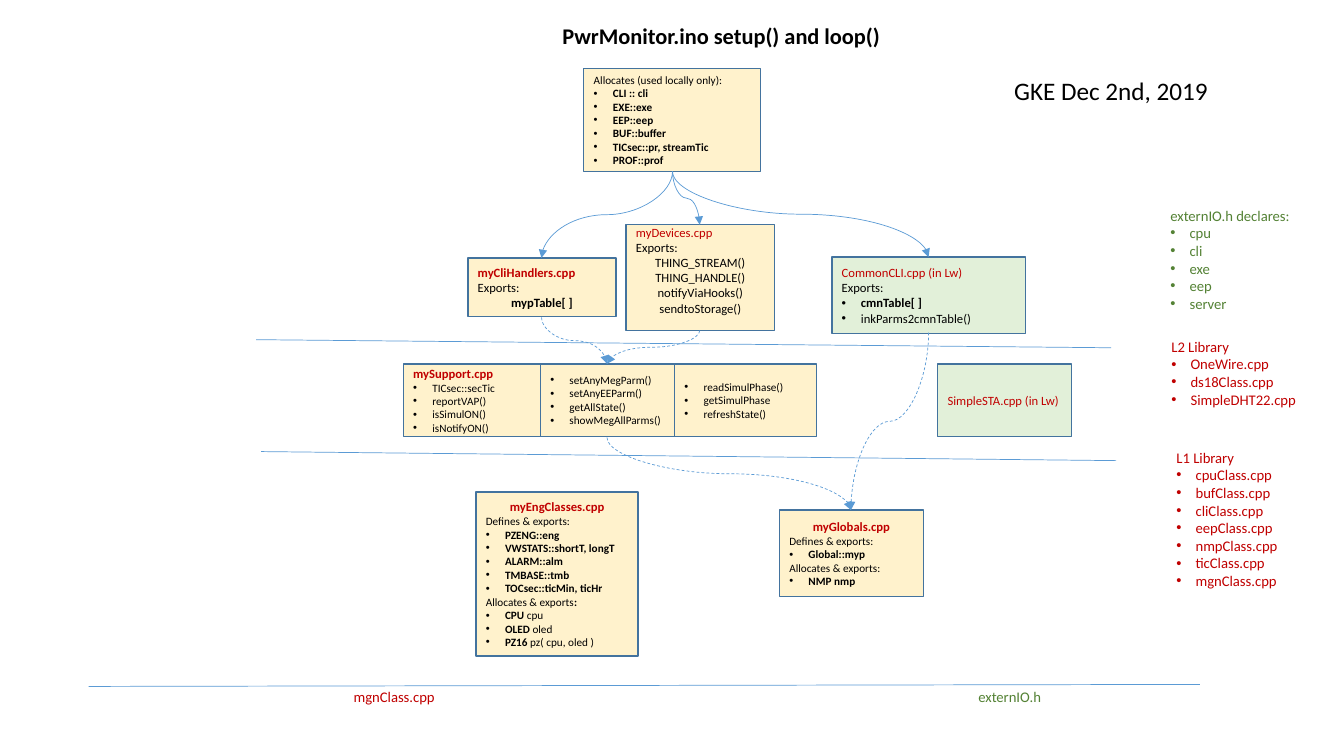
"""Build the PwrMonitor.ino module diagram slide."""
from dataclasses import dataclass

from lxml.etree import SubElement
from pptx import Presentation
from pptx.dml.color import RGBColor
from pptx.enum.dml import MSO_LINE
from pptx.enum.shapes import MSO_CONNECTOR, MSO_SHAPE
from pptx.enum.text import MSO_ANCHOR, PP_ALIGN
from pptx.oxml.ns import qn
from pptx.util import Inches, Pt

BLACK = RGBColor(0x00, 0x00, 0x00)
RED = RGBColor(0xC0, 0x00, 0x00)
GREEN = RGBColor(0x54, 0x82, 0x35)
CREAM = RGBColor(0xFF, 0xF2, 0xCC)
MINT = RGBColor(0xE2, 0xF0, 0xD9)
BORDER = RGBColor(0x43, 0x73, 0x9E)
BLUE = RGBColor(0x5B, 0x9B, 0xD5)
FONT = "Calibri"


@dataclass
class Para:
    """One paragraph, with an optional tail of the opposite weight."""
    text: str
    size: float = 8
    color: RGBColor = BLACK
    bold: bool = False
    bullet: bool = False
    center: bool = False
    tail: str = ""


def head(text, bold=True, center=False):
    """Return a red box heading."""
    return Para(text, 9, RED, bold, center=center)


def items(*texts, size=8, color=BLACK, bold=False):
    """Return one bulleted paragraph per text."""
    return [Para(t, size, color, bold, bullet=True) for t in texts]


def add_bullet(p):
    """Give a paragraph a round bullet and a hanging indent."""
    pPr = p._p.get_or_add_pPr()
    pPr.set("marL", str(Inches(0.19)))
    pPr.set("indent", str(-Inches(0.19)))
    bullet_font = pPr.makeelement(qn("a:buFont"), {"typeface": "Arial"})
    bullet = pPr.makeelement(qn("a:buChar"), {"char": "•"})
    pPr.insert(0, bullet_font)
    pPr.insert(1, bullet)


def fill_text(tf, paras):
    """Write paragraphs into a text frame."""
    for i, para in enumerate(paras):
        p = tf.paragraphs[0] if i == 0 else tf.add_paragraph()
        p.alignment = PP_ALIGN.CENTER if para.center else PP_ALIGN.LEFT
        p.font.name = FONT
        p.font.size = Pt(para.size)
        p.font.color.rgb = para.color
        if para.bullet:
            add_bullet(p)
        r = p.add_run()
        r.text = para.text
        if para.tail:
            r.font.bold = para.bold
            r = p.add_run()
            r.text = para.tail
            r.font.bold = not para.bold
        else:
            p.font.bold = para.bold


def add_box(shapes, x, y, w, h, paras, fill=CREAM):
    """Add a bordered module box."""
    sp = shapes.add_shape(MSO_SHAPE.RECTANGLE, Inches(x), Inches(y), Inches(w), Inches(h))
    sp.shadow.inherit = False
    sp.fill.solid()
    sp.fill.fore_color.rgb = fill
    sp.line.color.rgb = BORDER
    sp.line.width = Pt(1)
    tf = sp.text_frame
    tf.word_wrap = True
    tf.vertical_anchor = MSO_ANCHOR.MIDDLE
    fill_text(tf, paras)
    return sp


def add_label(shapes, x, y, w, h, paras, wrap=True):
    """Add unframed text."""
    tf = shapes.add_textbox(Inches(x), Inches(y), Inches(w), Inches(h)).text_frame
    tf.word_wrap = wrap
    fill_text(tf, paras)


def add_list(shapes, x, y, w, h, title, names, color):
    """Add a titled list of library files or objects."""
    paras = [Para(title, 10.5, color), *items(*names, size=10.5, color=color)]
    add_label(shapes, x, y, w, h, paras)


def add_line(shapes, x1, y1, x2, y2, kind=MSO_CONNECTOR.STRAIGHT):
    """Add a thin blue connector without shadow."""
    cxn = shapes.add_connector(kind, Inches(x1), Inches(y1), Inches(x2), Inches(y2))
    cxn.line.color.rgb = BLUE
    cxn.line.width = Pt(0.5)
    SubElement(cxn._element.spPr, qn("a:effectLst"))
    return cxn


def add_arrow(shapes, x1, y1, x2, y2, dashed=False):
    """Add a curved arrow that leaves and arrives vertically."""
    cx, cy = (x1 + x2) / 2, (y1 + y2) / 2
    rightward = x2 > x1
    dx = (y2 - y1) / 2 * (-1 if rightward else 1)
    dy = abs(x2 - x1) / 2
    cxn = add_line(shapes, cx - dx, cy - dy, cx + dx, cy + dy, MSO_CONNECTOR.CURVE)
    degrees = 270 if rightward else 90
    cxn._element.spPr.find(qn("a:xfrm")).set("rot", str(degrees * 60000))
    if dashed:
        cxn.line.dash_style = MSO_LINE.DASH
    SubElement(cxn.line._get_or_add_ln(), qn("a:tailEnd"), type="triangle")


def add_modules(shapes):
    """Add the module boxes."""
    add_box(shapes, 5.79, 0.68, 1.75, 1.02, [
        Para("Allocates (used locally only):"),
        *items("CLI :: cli", "EXE::exe", "EEP::eep", "BUF::buffer",
               "TICsec::pr, streamTic", "PROF::prof", bold=True)])
    add_box(shapes, 4.64, 2.56, 1.47, 0.58, [
        head("myCliHandlers.cpp"), Para("Exports:", 9),
        Para("mypTable[ ]", 9, bold=True, center=True)])
    calls = ("THING_STREAM()", "THING_HANDLE()", "notifyViaHooks()", "sendtoStorage()")
    device = add_box(shapes, 6.21, 2.23, 1.47, 1.05, [
        head("myDevices.cpp", bold=False), Para("Exports:", 9),
        *[Para(c, 9, center=True) for c in calls]])
    device.text_frame.margin_bottom = Inches(0.2)
    add_box(shapes, 8.25, 2.55, 1.92, 0.76, [
        head("CommonCLI.cpp (in Lw)", bold=False), Para("Exports:", 9),
        *items("cmnTable[ ]", size=9, bold=True),
        *items("inkParms2cmnTable()", size=9)], MINT)
    add_box(shapes, 9.3, 3.61, 1.33, 0.72,
            [head("SimpleSTA.cpp (in Lw)", bold=False)], MINT)
    add_box(shapes, 4.72, 4.88, 1.61, 1.63, [
        head("myEngClasses.cpp", center=True), Para("Defines & exports:"),
        *items("PZENG::eng", "VWSTATS::shortT, longT", "ALARM::alm",
               "TMBASE::tmb", "TOCsec::ticMin, ticHr", bold=True),
        Para("Allocates & exports", tail=":"),
        Para("CPU ", bold=True, bullet=True, tail="cpu"),
        Para("OLED ", bold=True, bullet=True, tail="oled"),
        Para("PZ16 ", bold=True, bullet=True, tail="pz( cpu, oled )")])
    add_box(shapes, 7.73, 5.06, 1.43, 0.86, [
        head("myGlobals.cpp", center=True), Para("Defines & exports:"),
        *items("Global::myp", bold=True), Para("Allocates & exports:"),
        *items("NMP nmp", bold=True)])
    support = shapes.add_group_shape().shapes
    for x, w, paras in (
            (4, 1.4, [head("mySupport.cpp"), *items(
                "TICsec::secTic", "reportVAP()", "isSimulON()", "isNotifyON()")]),
            (5.36, 1.33, items("setAnyMegParm()", "setAnyEEParm()",
                               "getAllState()", "showMegAllParms()")),
            (6.69, 1.41, items("readSimulPhase()", "getSimulPhase", "refreshState()"))):
        add_box(support, x, 3.61, w, 0.72, paras)


def main():
    """Build and save the slide."""
    prs = Presentation()
    prs.slide_width, prs.slide_height = Inches(13.33), Inches(7.5)
    shapes = prs.slides.add_slide(prs.slide_layouts[6]).shapes
    add_label(shapes, 5.48, 0.17, 3.4, 0.37,
              [Para("PwrMonitor.ino setup() and loop()", 16, bold=True)], wrap=False)
    add_label(shapes, 9.96, 0.7, 2.21, 0.4, [Para("GKE Dec 2nd, 2019 ", 18)], wrap=False)
    for ends in ((2.54, 3.37, 11.02, 3.45), (2.59, 4.48, 11.07, 4.57),
                 (0.88, 6.81, 11.9, 6.79)):
        add_line(shapes, *ends)
    add_modules(shapes)
    for x, y in ((5.37, 2.56), (6.94, 2.23), (9.21, 2.55)):
        add_arrow(shapes, 6.67, 1.7, x, y)
    for ends in ((5.37, 3.15, 6.02, 3.61), (6.94, 3.28, 6.02, 3.61),
                 (9.21, 3.3, 8.44, 5.06), (6.02, 4.34, 8.44, 5.06)):
        add_arrow(shapes, *ends, dashed=True)
    add_list(shapes, 11.51, 2, 1.57, 1.16, "externIO.h declares:",
             ("cpu", "cli", "exe", "eep", "server"), GREEN)
    add_list(shapes, 11.52, 3.3, 1.57, 0.98, "L2 Library",
             ("OneWire.cpp", "ds18Class.cpp", "SimpleDHT22.cpp"), RED)
    prefixes = ("cpu", "buf", "cli", "eep", "nmp", "tic", "mgn")
    add_list(shapes, 11.57, 4.4, 1.4, 1.69, "L1 Library",
             [f"{name}Class.cpp" for name in prefixes], RED)
    add_label(shapes, 3.41, 6.77, 1.17, 0.28, [Para("mgnClass.cpp", 10.5, RED)])
    add_label(shapes, 9.45, 6.77, 1.13, 0.28, [Para("externIO.h", 10.5, GREEN, center=True)])
    prs.save("out.pptx")


main()
